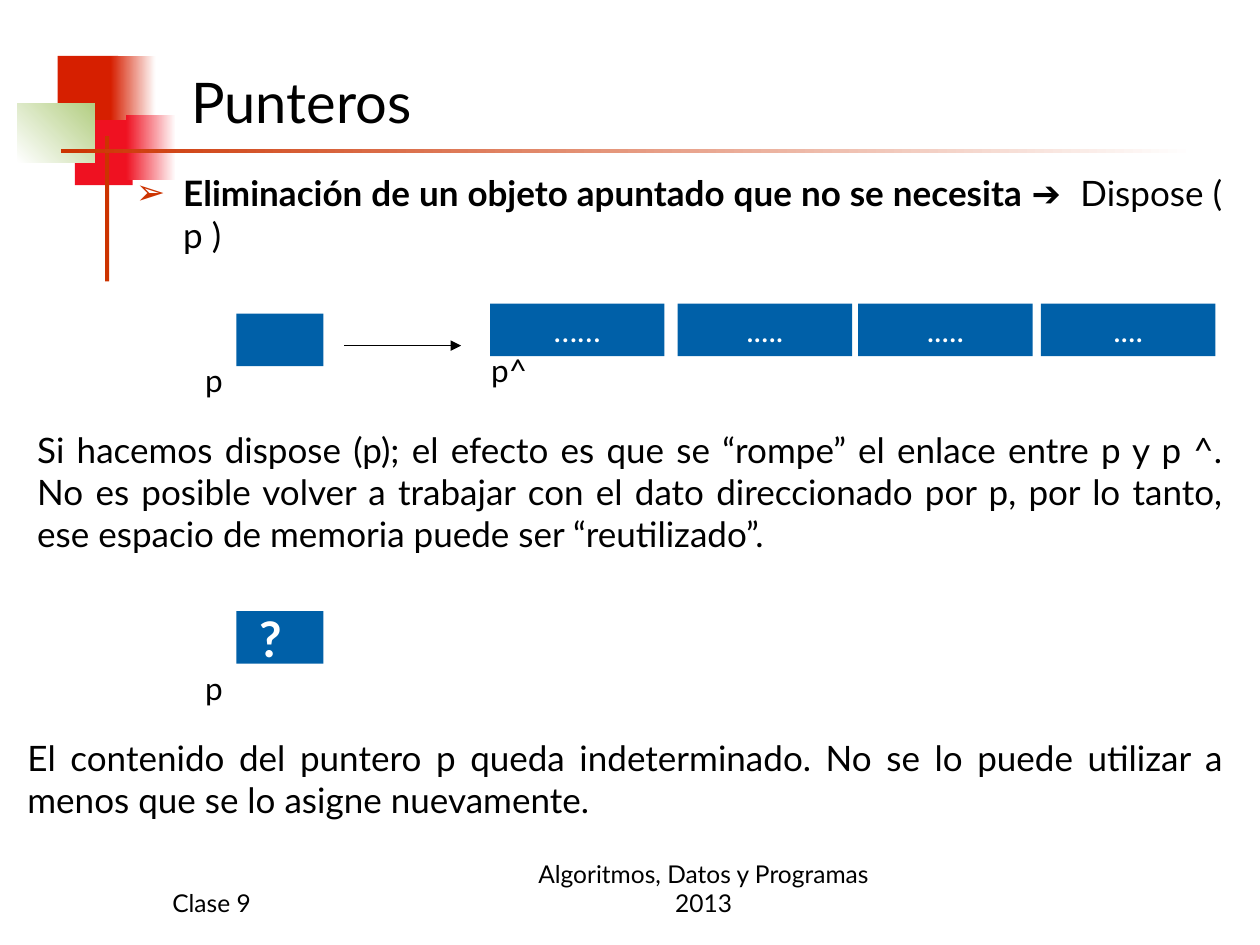
from lxml import etree
from pptx import Presentation
from pptx.dml.color import RGBColor
from pptx.enum import shapes, text
from pptx.oxml import ns
from pptx.util import Pt

BLACK, WHITE, BLUE, RUST = "000000", "FFFFFF", "0060A8", "CC3300"


def write(content, at=None, frame=None, size=18, color=BLACK, bold=False, align="LEFT",
          anchor="TOP", wrap=True, left_inset=7.2, bullet=None):
    if frame is None:
        frame = slide.shapes.add_textbox(*map(Pt, at)).text_frame
    frame.word_wrap = wrap
    frame.vertical_anchor = text.MSO_ANCHOR[anchor]
    frame.margin_left, frame.margin_right = Pt(left_inset), Pt(7.2)
    frame.margin_top = frame.margin_bottom = Pt(3.6)
    paragraph = frame.paragraphs[0]
    paragraph.alignment = text.PP_ALIGN[align]
    if bullet:
        props = paragraph._p.get_or_add_pPr()
        props.set("marL", str(Pt(27)))
        props.set("indent", str(Pt(-27)))
        tint = etree.SubElement(props, ns.qn("a:buClr"))
        etree.SubElement(tint, ns.qn("a:srgbClr"), val=RUST)
        etree.SubElement(props, ns.qn("a:buFont"), typeface="Arial")
        etree.SubElement(props, ns.qn("a:buChar"), char=bullet)
    runs = [(content, "Lato", bold)] if isinstance(content, str) else content
    for words, font, strong in runs:
        run = paragraph.add_run()
        run.text = words
        run.font.name, run.font.size, run.font.bold = font, Pt(size), strong
        run.font.color.rgb = RGBColor.from_string(color)


def block(at, *colors, angle=0):
    shape = slide.shapes.add_shape(shapes.MSO_SHAPE.RECTANGLE, *map(Pt, at))
    shape.shadow.inherit = False
    shape.line.fill.background()
    if len(colors) == 1:
        shape.fill.solid()
        shape.fill.fore_color.rgb = RGBColor.from_string(colors[0])
    else:
        shape.fill.gradient()
        shape.fill.gradient_angle = angle
        for position, (stop, color) in enumerate(zip(shape.fill.gradient_stops, colors)):
            stop.position = position
            stop.color.rgb = RGBColor.from_string(color)
    return shape


deck = Presentation()
deck.slide_width, deck.slide_height = Pt(720), Pt(540)
slide = deck.slides.add_slide(deck.slide_layouts[6])

block((33, 32, 34.5, 37.2), "D61F00")
block((63.2, 32, 25.7, 37.2), "D61F00", WHITE)
block((42.8, 68.7, 33, 37.2), "EF1121")
block((72, 65.8, 28.5, 37.2), "EF1121", WHITE)
block((9.8, 59, 44.4, 33.8), WHITE, "B3CE82", angle=45)
block((60, 77.8, 2.4, 83), RUST)
block((34.8, 85, 648, 2.4), RUST, WHITE)

write("Punteros", (102.2, 28.8, 574.6, 57.6), size=32, anchor="MIDDLE")
write([("Eliminación de un objeto apuntado que no se necesita ", "Lato", True),
       ("➔ ", "Arial", False), (" Dispose ( p )", "Lato", False)],
      (70.6, 94.3, 635, 60), size=20, align="JUSTIFY", bullet="➢")

for left, dots in ((280, "……"), (387.2, "....."), (490.4, "....."), (594.8, "....")):
    cell = block((left, 173.6, 99.7, 30), BLUE)
    write(dots, frame=cell.text_frame, color=WHITE, align="CENTER", anchor="MIDDLE", wrap=False)
write("p^", (273.6, 197.3, 38.9, 28.8))

for pointer_top, label_top, value in ((179.3, 203, ""), (349.3, 378.9, "?")):
    pointer = block((135, pointer_top, 49.8, 30), BLUE)
    if value:
        write(value, frame=pointer.text_frame, size=28, color=WHITE, bold=True,
              anchor="MIDDLE", wrap=False, left_inset=13)
    write("p", (110.2, label_top, 38.9, 28.8))

link = slide.shapes.add_connector(shapes.MSO_CONNECTOR.STRAIGHT, Pt(196.8), Pt(197.5), Pt(263.5), Pt(197.5))
link.line.color.rgb = RGBColor.from_string(BLACK)
link.line.width = Pt(1)
etree.SubElement(link.line._get_or_add_ln(), ns.qn("a:tailEnd"), type="triangle")
etree.SubElement(link._element.spPr, ns.qn("a:effectLst"))

write("Si hacemos dispose (p); el efecto es que se “rompe” el enlace entre p y p ^. "
      "No es posible volver a trabajar con el dato direccionado por p, por lo tanto, "
      "ese espacio de memoria puede ser “reutilizado”.",
      (14.2, 241.2, 692, 79.2), size=20, align="JUSTIFY")
write("El contenido del puntero p queda indeterminado. No se lo puede utilizar a "
      "menos que se lo asigne nuevamente.",
      (8.6, 417.6, 697.7, 55.4), size=20, align="JUSTIFY")

write("Clase 9", (91.4, 491.8, 149.8, 36), size=14, anchor="BOTTOM")
write("Algoritmos, Datos y Programas 2013", (288, 491.8, 228.2, 36),
      size=14, align="CENTER", anchor="BOTTOM")

deck.save("out.pptx")
